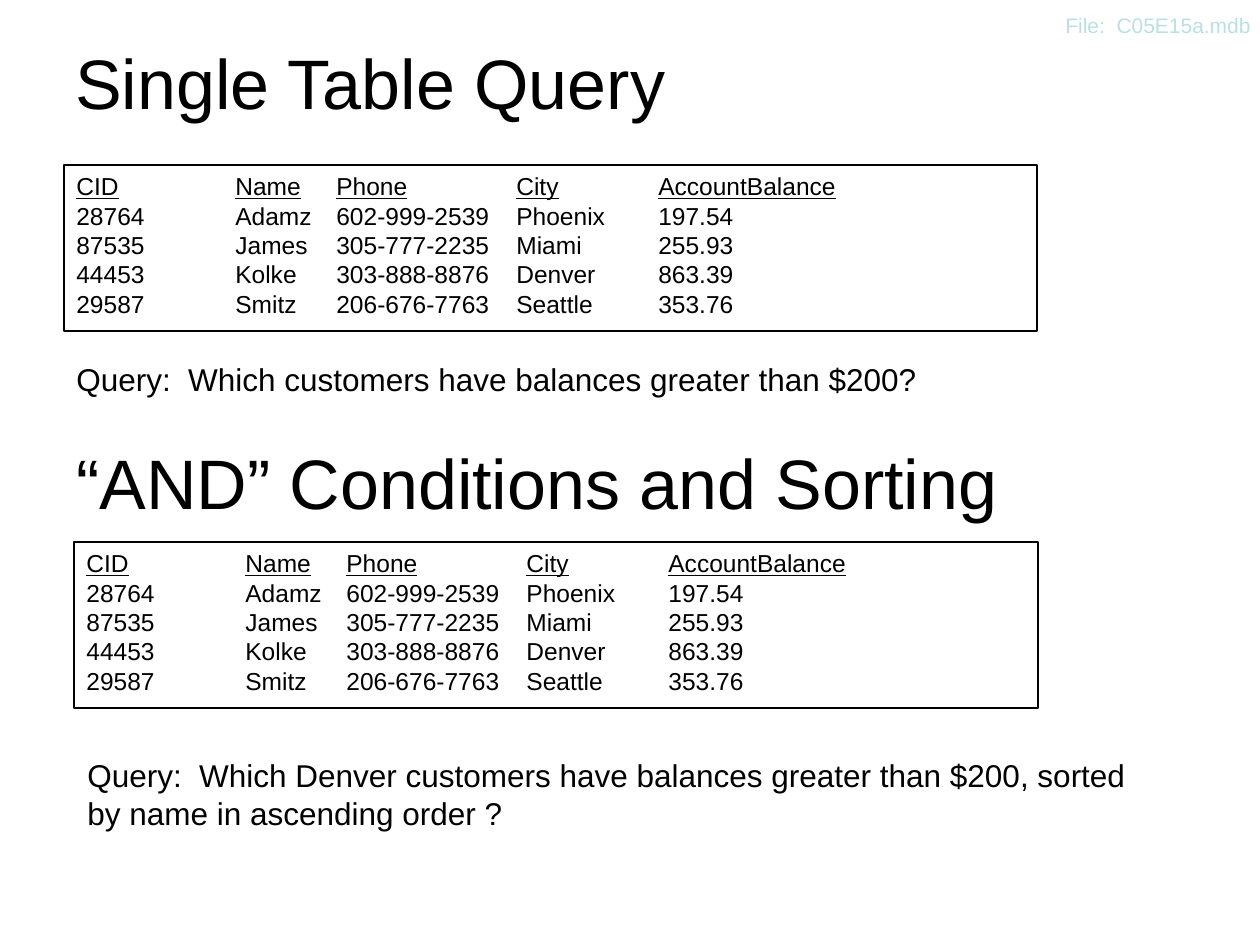
import pptx
import pptx.util
import pptx.dml.color
import pptx.enum.shapes
import pptx.enum.text
import pptx.oxml.ns
import lxml.etree

EMU_PER_PX = 914400 / 126
FONT = "Arial"
BLACK, PALE_TEAL = "000000", "BBE0E3"
MIDDLE = pptx.enum.text.MSO_ANCHOR.MIDDLE
TOP = pptx.enum.text.MSO_ANCHOR.TOP

HEADER = ["CID", "Name", "Phone", "City", "AccountBalance"]
CUSTOMERS = [
    ["28764", "Adamz", "602-999-2539", "Phoenix", "197.54"],
    ["87535", "James", "305-777-2235", "Miami", "255.93"],
    ["44453", "Kolke", "303-888-8876", "Denver", "863.39"],
    ["29587", "Smitz", "206-676-7763", "Seattle", "353.76"],
]
COLUMN_STOPS = [159, 260, 440, 582]

# text, (left, top, width, height), size, colour, anchor, wrap
LABELS = [
    ("Single Table Query", (63, 38, 1134, 87), 40, BLACK, MIDDLE, True),
    ("Query:  Which customers have balances greater than $200?",
     (64, 354, 1094, 50), 18, BLACK, TOP, True),
    ("File:  C05E15a.mdb", (1053, 6, 212, 38), 12, PALE_TEAL, TOP, False),
    ("“AND” Conditions and Sorting", (64, 442, 1134, 79), 40, BLACK, MIDDLE, True),
    ("Query:  Which Denver customers have balances greater than $200, "
     "sorted by name in ascending order ?",
     (75, 750, 1094, 88), 18, BLACK, TOP, True),
]
CUSTOMER_BOXES = [(64, 165, 973, 166), (74, 542, 964, 166)]


def px(n):
    return pptx.util.Emu(round(n * EMU_PER_PX))


def rgb(colour):
    return pptx.dml.color.RGBColor.from_string(colour)


def add_run(p, text, size, colour, underline=False):
    r = p.add_run()
    r.text = text
    r.font.name = FONT
    r.font.size = pptx.util.Pt(size)
    r.font.color.rgb = rgb(colour)
    if underline:
        r.font.underline = True


def add_tab_stops(p, stops):
    qn = pptx.oxml.ns.qn
    tab_list = lxml.etree.SubElement(p._p.get_or_add_pPr(), qn("a:tabLst"))
    for stop in stops:
        lxml.etree.SubElement(tab_list, qn("a:tab"), pos=str(px(stop)), algn="l")


def add_label(s, text, box, size, colour, anchor, wrap):
    tf = s.shapes.add_textbox(*map(px, box)).text_frame
    tf.word_wrap = wrap
    tf.vertical_anchor = anchor
    add_run(tf.paragraphs[0], text, size, colour)


def add_customer_box(s, box):
    """Outlined box listing the customers in tabbed columns."""
    sp = s.shapes.add_shape(pptx.enum.shapes.MSO_SHAPE.RECTANGLE, *map(px, box))
    sp.shadow.inherit = False
    sp.fill.background()
    sp.line.color.rgb = rgb(BLACK)
    sp.line.width = pptx.util.Pt(1)
    tf = sp.text_frame
    tf.word_wrap = True
    tf.vertical_anchor = TOP
    for i, row in enumerate([HEADER] + CUSTOMERS):
        p = tf.add_paragraph() if i else tf.paragraphs[0]
        p.alignment = pptx.enum.text.PP_ALIGN.LEFT
        add_tab_stops(p, COLUMN_STOPS)
        add_run(p, "\t".join(row), 14, BLACK, underline=i == 0)


def main():
    prs = pptx.Presentation()
    prs.slide_width, prs.slide_height = px(1260), px(945)
    s = prs.slides.add_slide(prs.slide_layouts[6])
    for box in CUSTOMER_BOXES:
        add_customer_box(s, box)
    for label in LABELS:
        add_label(s, *label)
    prs.save("out.pptx")


if __name__ == "__main__":
    main()
